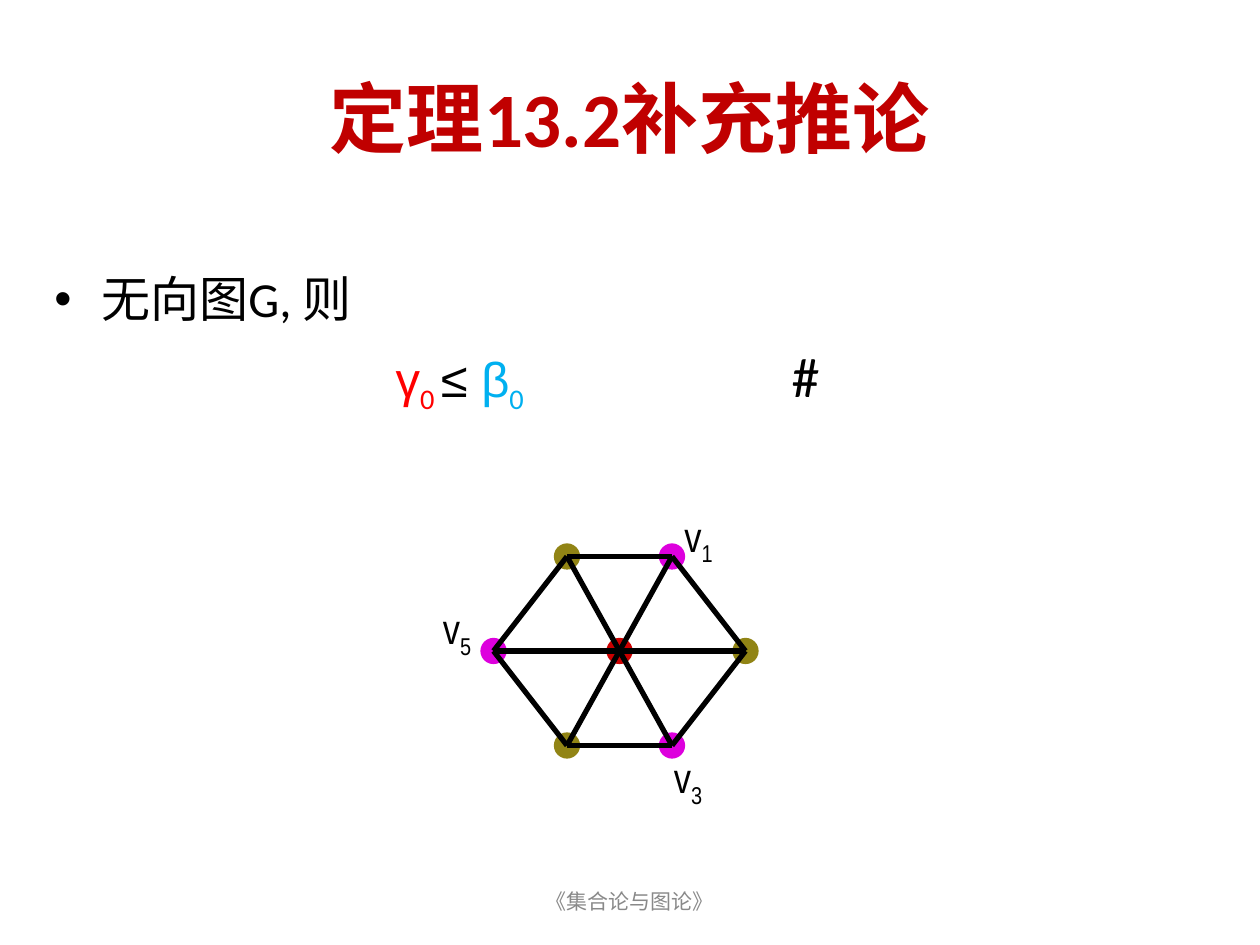
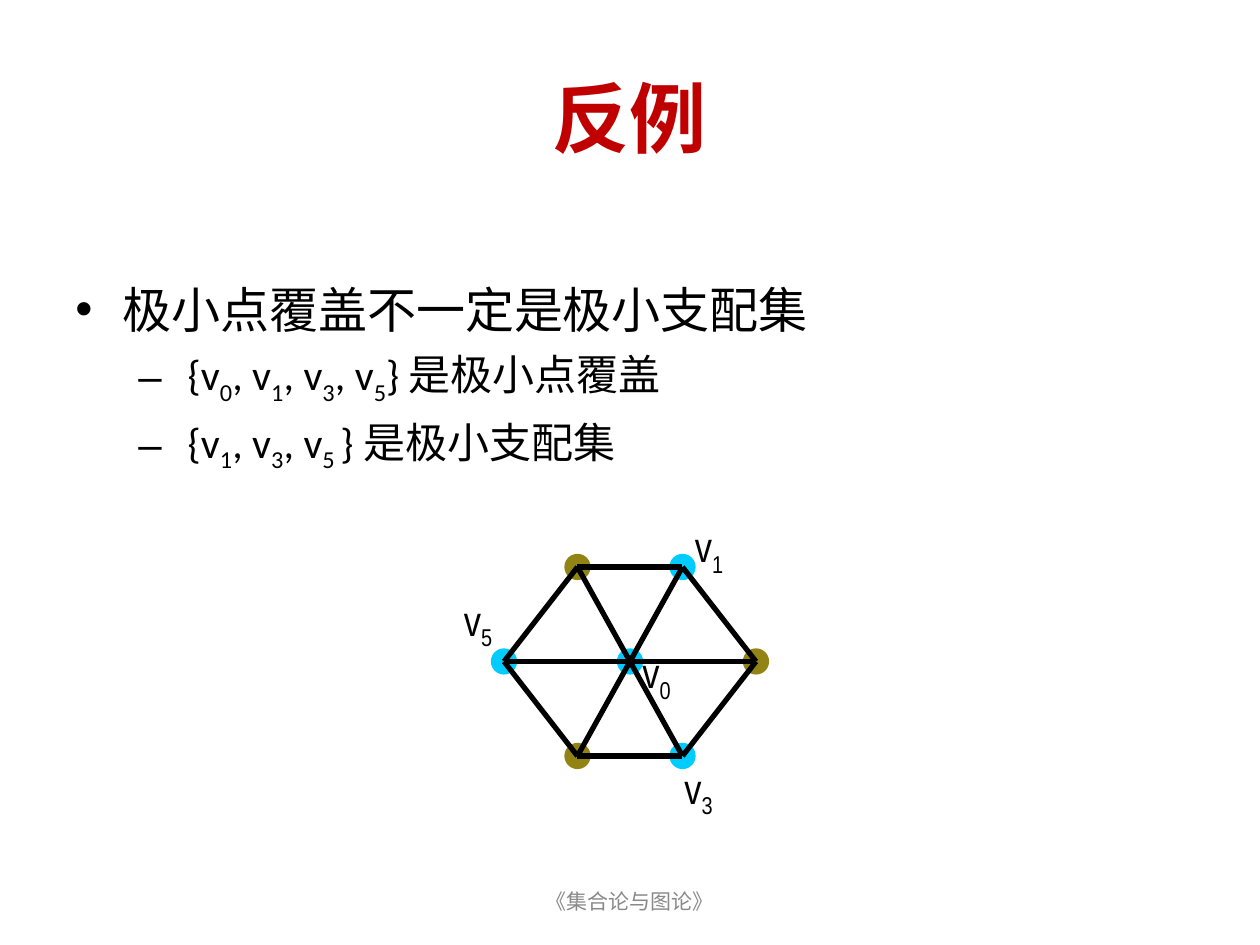
import lxml.etree
import pptx
import pptx.dml.color
import pptx.enum.shapes
import pptx.enum.text
import pptx.oxml.ns
import pptx.util

RGBColor = pptx.dml.color.RGBColor
MSO_ANCHOR = pptx.enum.text.MSO_ANCHOR
PP_ALIGN = pptx.enum.text.PP_ALIGN
Pt = pptx.util.Pt
qn = pptx.oxml.ns.qn

PX = 7620  # EMU per px, 120 px to the inch
BLACK = RGBColor(0, 0, 0)
TITLE_RED = RGBColor(0xC0, 0, 0)
RED = RGBColor(0xFF, 0, 0)
BLUE = RGBColor(0, 0xB0, 0xF0)
GREY = RGBColor(0x89, 0x89, 0x89)
OLIVE = RGBColor(0x91, 0x84, 0x15)
MAGENTA = RGBColor(0xDD, 0, 0xDD)
DARK_RED = RGBColor(0xCC, 0, 0)
CYAN = RGBColor(0, 0xCC, 0xFF)

DOT = 20
# Node centres relative to the hub; v1, v3 and v5 are the named rim nodes
NODES = {
    "v6": (-50, -90), "v1": (50, -90), "v4": (-50, 90), "v3": (50, 90),
    "v5": (-120, 0), "v2": (120, 0), "v0": (0, 0),
}
RIM = ["v1", "v2", "v3", "v4", "v5", "v6"]
EDGES = list(zip(RIM, RIM[1:] + RIM[:1])) + [("v0", n) for n in RIM]

SLIDES = [
    dict(
        title="定理13.2补充推论",
        body=(40, 250, 1120, 510),
        bullets=[("无向图G, 则", 0)],
        formula=[("\t", 28, "Calibri", BLACK), ("γ", 28, "Arial", RED),
                 ("_0 _", 28, "Calibri", RED), ("≤ ", 28, "Arial", BLACK),
                 ("β", 28, "Arial", BLUE), ("_0_", 28, "Calibri", BLUE),
                 ("\t#", 32, "Calibri", BLACK)],
        hub=(590, 620), hub_colour=DARK_RED, named_colour=MAGENTA,
        labels={"v3": (40, 90), "v5": (-180, -52), "v1": (50, -140)},
    ),
    dict(
        title="反例",
        body=(60, 260, 1080, 405),
        bullets=[("极小点覆盖不一定是极小支配集", 0),
                 (" {v_0_, v_1_, v_3_, v_5_} 是极小点覆盖", 1),
                 (" {v_1_, v_3_, v_5 _} 是极小支配集", 1)],
        formula=[],
        hub=(600, 630), hub_colour=CYAN, named_colour=CYAN,
        labels={"v0": (0, -20), "v1": (50, -140), "v3": (40, 90), "v5": (-170, -70)},
    ),
]
# size, space before, left margin px, indent px, bullet for each level
LEVELS = [(28, 7, 45, -45, "•"), (24, 6, 98, -38, "–")]
FORMULA_TABS = (325, 702)


def add_runs(p, text, size, font, colour):
    """Add text to p; parts between underscores become subscripts."""
    for i, part in enumerate(text.split("_")):
        if part:
            r = p.add_run()
            r.text = part
            r.font.size = Pt(size)
            r.font.name = font
            r.font.color.rgb = colour
            if i % 2:
                r.font._element.set("baseline", "-25000")


def add_text_box(shapes, x, y, w, h):
    tf = shapes.add_textbox(x * PX, y * PX, w * PX, h * PX).text_frame
    tf.word_wrap = True
    return tf


prs = pptx.Presentation()
prs.slide_width, prs.slide_height = 1200 * PX, 900 * PX

for content in SLIDES:
    s = prs.slides.add_slide(prs.slide_layouts[5])

    title = s.shapes.title
    title.left, title.top, title.width, title.height = 60 * PX, 36 * PX, 1080 * PX, 150 * PX
    tf = title.text_frame
    tf.text = content["title"]
    tf.vertical_anchor = MSO_ANCHOR.MIDDLE
    p = tf.paragraphs[0]
    p.alignment = PP_ALIGN.CENTER
    font = p.runs[0].font
    font.size, font.name, font.bold = Pt(44), "Calibri", True
    font.color.rgb = TITLE_RED

    tf = add_text_box(s.shapes, *content["body"])
    for i, (text, level) in enumerate(content["bullets"]):
        size, before, margin, indent, bullet = LEVELS[level]
        p = tf.add_paragraph() if i else tf.paragraphs[0]
        p.level = level
        p.space_before = Pt(before)
        add_runs(p, text, size, "Calibri", BLACK)
        pPr = p._p.get_or_add_pPr()
        pPr.set("marL", str(margin * PX))
        pPr.set("indent", str(indent * PX))
        lxml.etree.SubElement(pPr, qn("a:buFont"), typeface="Arial")
        lxml.etree.SubElement(pPr, qn("a:buChar"), char=bullet)
    if content["formula"]:
        p = tf.add_paragraph()
        p.space_before = Pt(8)
        for run in content["formula"]:
            add_runs(p, *run)
        tabs = lxml.etree.SubElement(p._p.get_or_add_pPr(), qn("a:tabLst"))
        for pos in FORMULA_TABS:
            lxml.etree.SubElement(tabs, qn("a:tab"), pos=str(pos * PX), algn="l")

    tf = add_text_box(s.shapes, 410, 834, 380, 48)
    tf.vertical_anchor = MSO_ANCHOR.MIDDLE
    p = tf.paragraphs[0]
    p.alignment = PP_ALIGN.CENTER
    add_runs(p, "《集合论与图论》", 12, "Arial", GREY)

    wheel = s.shapes.add_group_shape().shapes
    hub_x, hub_y = content["hub"]
    centres = {n: (hub_x + dx, hub_y + dy) for n, (dx, dy) in NODES.items()}
    for name, (x, y) in centres.items():
        if name == "v0":
            colour = content["hub_colour"]
        else:
            colour = content["named_colour"] if name in content["labels"] else OLIVE
        dot = wheel.add_shape(
            pptx.enum.shapes.MSO_SHAPE.OVAL,
            (x - DOT // 2) * PX, (y - DOT // 2) * PX, DOT * PX, DOT * PX)
        dot.shadow.inherit = False
        dot.fill.solid()
        dot.fill.fore_color.rgb = colour
        dot.line.color.rgb = colour
        dot.line.width = Pt(3)
    for start, end in EDGES:
        ends = [v * PX for v in centres[start] + centres[end]]
        edge = wheel.add_connector(pptx.enum.shapes.MSO_CONNECTOR.STRAIGHT, *ends)
        edge.line.color.rgb = BLACK
        edge.line.width = Pt(3)
        lxml.etree.SubElement(edge._element.spPr, qn("a:effectLst"))
    for name, (dx, dy) in content["labels"].items():
        tf = add_text_box(wheel, hub_x + dx, hub_y + dy, 60, 67)
        tf.auto_size = pptx.enum.text.MSO_AUTO_SIZE.SHAPE_TO_FIT_TEXT
        p = tf.paragraphs[0]
        p.space_before = Pt(15)
        add_runs(p, f"v_{name[1]}_", 24, "Arial Narrow", BLACK)

prs.save("out.pptx")
